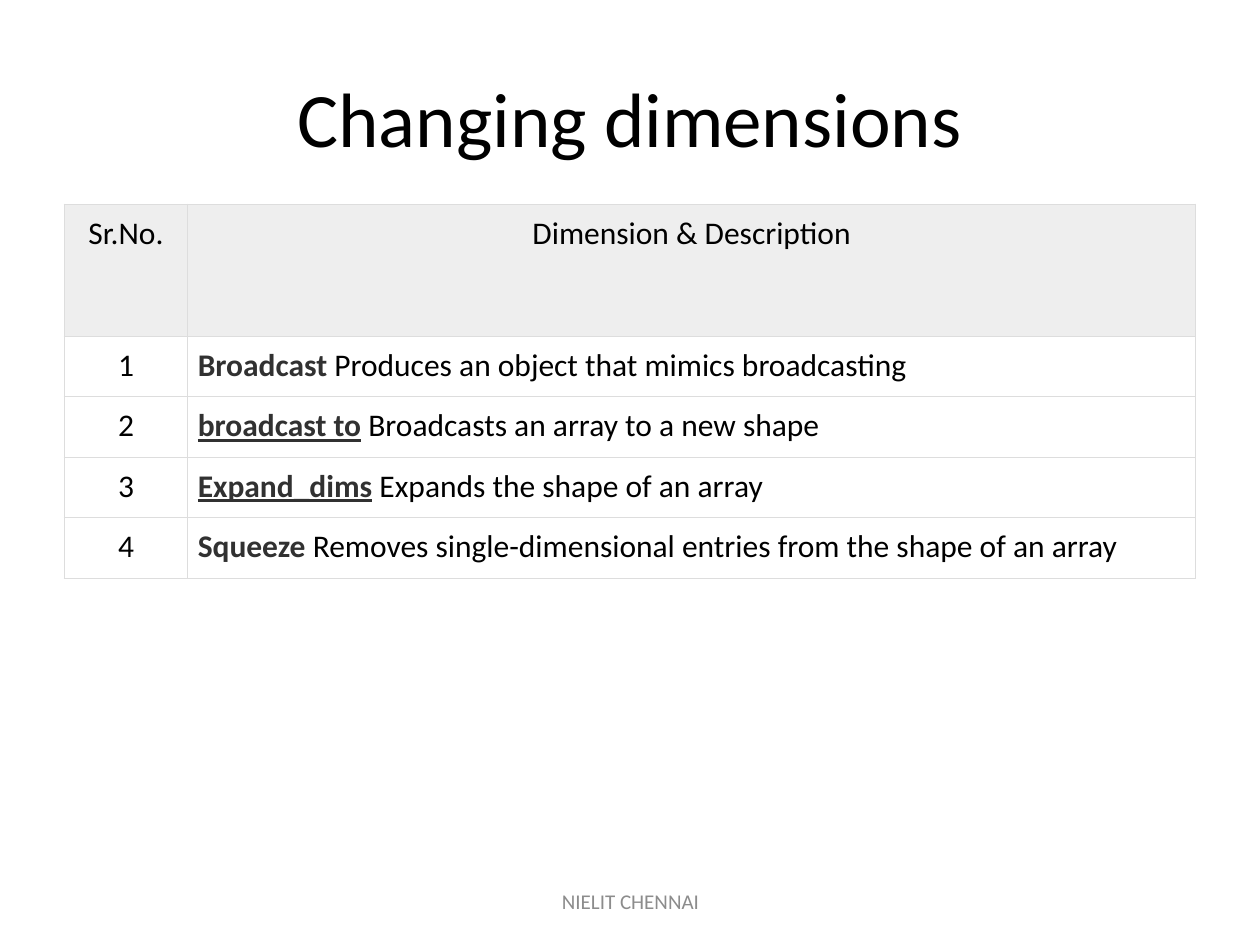
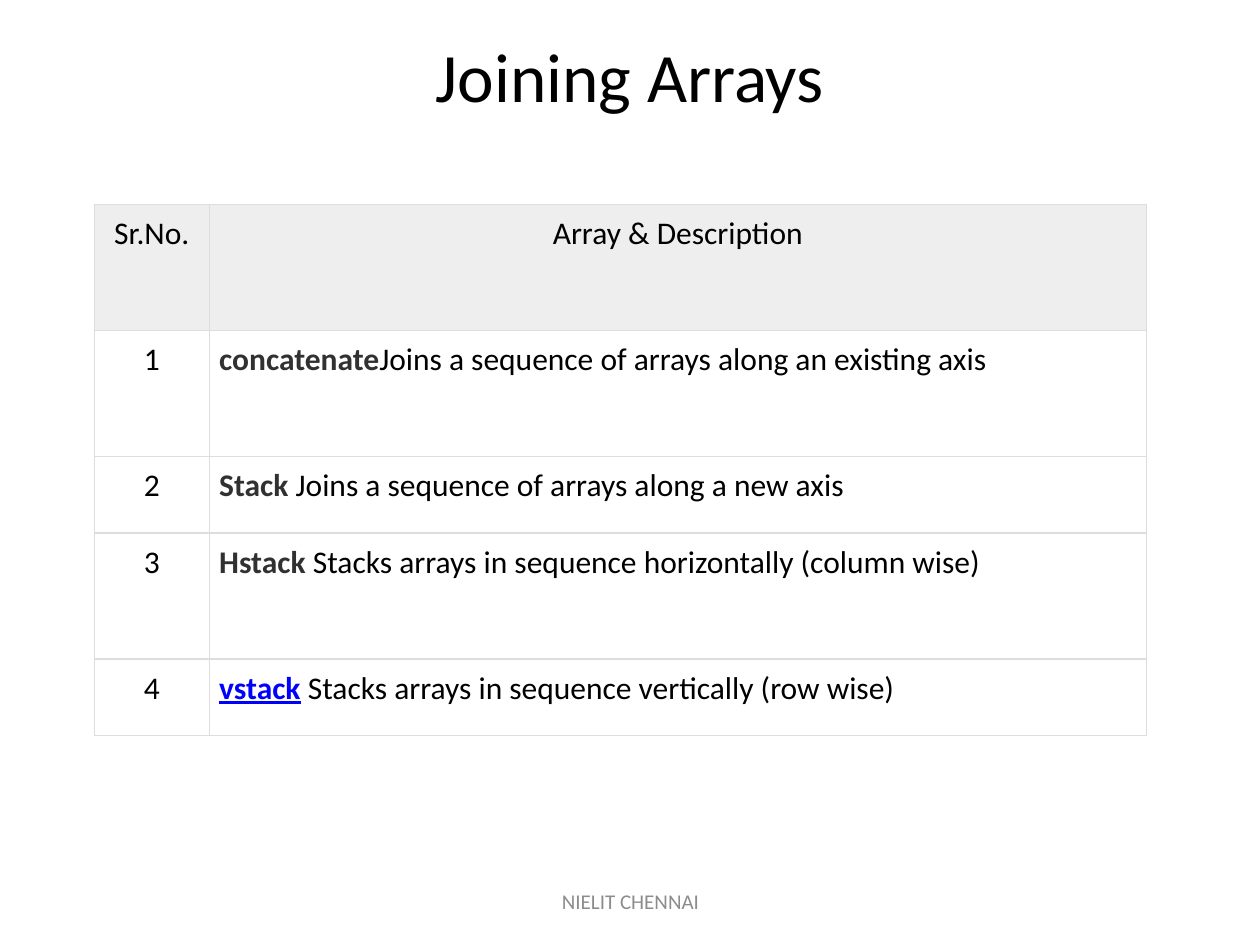
from lxml.etree import SubElement
from pptx import Presentation
from pptx.dml.color import RGBColor
from pptx.enum.text import MSO_ANCHOR, PP_ALIGN
from pptx.oxml.ns import qn
from pptx.util import Inches, Pt

FONT = "Calibri"
BLACK = RGBColor(0x00, 0x00, 0x00)
DARK = RGBColor(0x31, 0x31, 0x31)
BLUE = RGBColor(0x00, 0x00, 0xFF)
GREY = RGBColor(0x8C, 0x8C, 0x8C)
LINE = RGBColor(0xDD, 0xDD, 0xDD)
HEAD = RGBColor(0xEE, 0xEE, 0xEE)

TITLE_BOX = (0.5, 0.3, 9, 1.25)
FOOT_BOX = (3.42, 6.95, 3.17, 0.4)
PAD = 0.08

# Each row: term, term colour, underlined, description
DIMS = [
    ("Broadcast", DARK, False, " Produces an object that mimics broadcasting"),
    ("broadcast to", DARK, True, " Broadcasts an array to a new shape"),
    ("Expand_dims", DARK, True, " Expands the shape of an array"),
    ("Squeeze", DARK, False,
     " Removes single-dimensional entries from the shape of an array"),
]
JOINS = [
    ("concatenate", DARK, False,
     "Joins a sequence of arrays along an existing axis"),
    ("Stack", DARK, False, " Joins a sequence of arrays along a new axis"),
    ("Hstack", DARK, False,
     " Stacks arrays in sequence horizontally (column wise)"),
    ("vstack", BLUE, True, " Stacks arrays in sequence vertically (row wise)"),
]


def style(run, size, color=BLACK, bold=False, under=False):
    font = run.font
    font.name, font.size, font.bold = FONT, Pt(size), bold
    font.color.rgb = color
    if under:
        font.underline = True


def add_text(slide, box, text, size, color=BLACK, drop=0.05):
    """Centred text in a box; drop is the inset at the bottom."""
    frame = slide.shapes.add_textbox(*map(Inches, box)).text_frame
    frame.word_wrap = True
    frame.vertical_anchor = MSO_ANCHOR.MIDDLE
    frame.margin_bottom = Inches(drop)
    frame.text = text
    para = frame.paragraphs[0]
    para.alignment = PP_ALIGN.CENTER
    style(para.runs[0], size, color)


def set_cell(cell, parts, align, fill=None):
    """Fill a cell with runs given as (text, colour, bold, underlined)."""
    cell.margin_left = cell.margin_right = Inches(PAD)
    cell.margin_top = cell.margin_bottom = Inches(PAD)
    para = cell.text_frame.paragraphs[0]
    para.alignment = align
    for text, color, bold, under in parts:
        run = para.add_run()
        run.text = text
        style(run, 18, color, bold, under)
    # Borders come before the fill in the cell properties
    props = cell._tc.get_or_add_tcPr()
    for side in ("a:lnL", "a:lnR", "a:lnT", "a:lnB"):
        edge = SubElement(props, qn(side), w=str(Pt(0.75)))
        solid = SubElement(edge, qn("a:solidFill"))
        SubElement(solid, qn("a:srgbClr"), val=str(LINE))
    if fill is None:
        cell.fill.background()
    else:
        cell.fill.solid()
        cell.fill.fore_color.rgb = fill


def add_list(slide, spot, cols, heights, label, rows):
    """Numbered table of terms with a grey header row."""
    box = (*spot, sum(cols), sum(heights))
    table = slide.shapes.add_table(
        len(heights), len(cols), *map(Inches, box)).table
    table.first_row = table.horz_banding = False
    for col, width in zip(table.columns, cols):
        col.width = Inches(width)
    for row, height in zip(table.rows, heights):
        row.height = Inches(height)

    for i, text in enumerate(("Sr.No.", label)):
        set_cell(table.cell(0, i), [(text, BLACK, False, False)],
                 PP_ALIGN.CENTER, HEAD)
    for i, (term, color, under, about) in enumerate(rows, 1):
        set_cell(table.cell(i, 0), [(str(i), BLACK, False, False)],
                 PP_ALIGN.CENTER)
        set_cell(table.cell(i, 1),
                 [(term, color, True, under), (about, BLACK, False, False)],
                 PP_ALIGN.JUSTIFY)


def add_page(deck, title, size, drop=0.05):
    """Blank slide with the shared title and footer."""
    slide = deck.slides.add_slide(deck.slide_layouts[6])
    add_text(slide, TITLE_BOX, title, size, drop=drop)
    add_text(slide, FOOT_BOX, "NIELIT CHENNAI", 12, GREY)
    return slide


def main():
    deck = Presentation()
    deck.slide_width, deck.slide_height = Inches(10), Inches(7.5)

    page = add_page(deck, "Changing dimensions", 44)
    add_list(page, (0.51, 1.62), (0.98, 8), (1.05,) + (0.48,) * 4,
             "Dimension & Description", DIMS)

    # The second title sits higher in the same box
    page = add_page(deck, "Joining Arrays", 39.6, drop=0.72)
    add_list(page, (0.75, 1.62), (0.91, 7.44), (1, 1, 0.61, 1, 0.61),
             "Array & Description", JOINS)

    deck.save("out.pptx")


if __name__ == "__main__":
    main()
